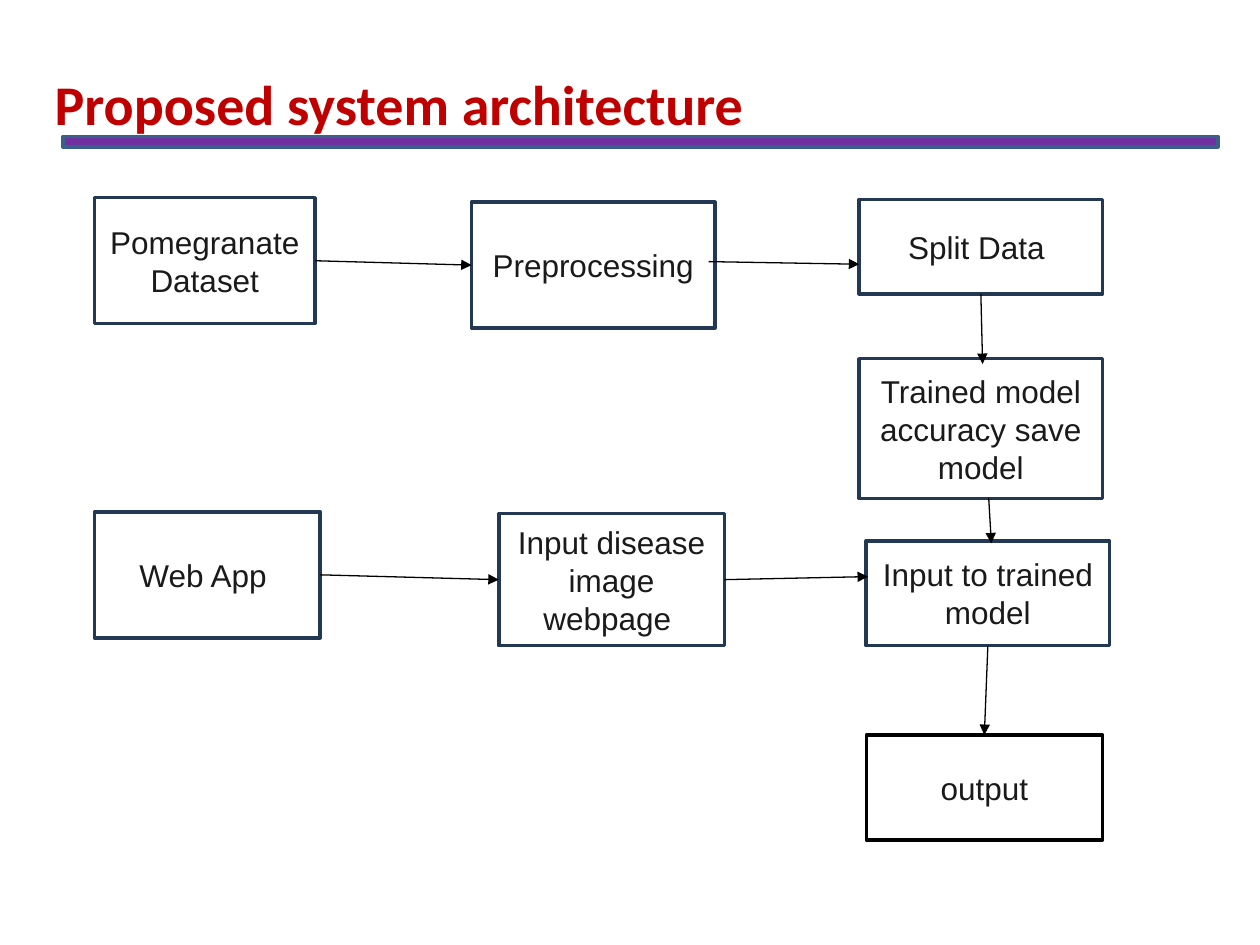
"""Build the proposed system architecture slide as a flow of boxes and arrows."""
from dataclasses import dataclass
from typing import Optional

from lxml.etree import SubElement
from pptx import Presentation
from pptx.dml.color import RGBColor
from pptx.enum.shapes import MSO_CONNECTOR as Connector, MSO_SHAPE as Shape
from pptx.enum.text import MSO_ANCHOR as Anchor, MSO_AUTO_SIZE as AutoSize, PP_ALIGN as Align
from pptx.oxml.ns import qn
from pptx.util import Pt

COLORS = {
    "title": "C00000",
    "bar": "7030A0",
    "bar_edge": "3A5F8B",
    "box": "FFFFFF",
    "edge": "233953",
    "text": "1A1A1A",
    "black": "000000",
}
TOP, LEFT, BOTTOM, RIGHT = range(4)


@dataclass(frozen=True)
class Step:
    name: str
    lines: tuple[str, ...]
    left: float
    top: float
    width: float
    height: float
    edge: str = "edge"


@dataclass(frozen=True)
class End:
    x: float = 0
    y: float = 0
    step: Optional[str] = None
    side: int = TOP


STEPS = (
    Step("dataset", ("Pomegranate", "Dataset"), 54, 113, 126, 72),
    Step("preprocessing", ("Preprocessing",), 269.5, 115.5, 139, 72),
    Step("split", ("Split Data ",), 491, 114, 139, 54),
    Step("web app", ("Web App ",), 54, 292.5, 129, 72),
    Step("disease image", ("Input disease image webpage ",), 285, 293.5, 129, 75.5),
    Step("training", ("Trained model accuracy save model",), 491, 205, 139, 80),
    Step("model input", ("Input to trained model",), 495, 309, 139, 60),
    Step("output", ("output",), 495, 420, 135, 60, "black"),
)

ARROWS = (
    (End(step="dataset", side=RIGHT), End(step="preprocessing", side=LEFT)),
    (End(405, 149.5), End(491, 151)),
    (End(step="web app", side=RIGHT), End(step="disease image", side=LEFT)),
    (End(step="disease image", side=RIGHT), End(496, 329.5)),
    (End(step="split", side=BOTTOM), End(561.5, 208)),
    (End(565, 284.5), End(566.5, 310.5)),
    (End(step="model input", side=BOTTOM), End(step="output", side=TOP)),
)


def color(name: str) -> RGBColor:
    """Return a palette colour."""
    return RGBColor.from_string(COLORS[name])


def add_span(para, text: str, font: str, size: float, tint: str, bold: bool = False) -> None:
    """Append one formatted run to a paragraph."""
    span = para.add_run()
    span.text = text
    span.font.name = font
    span.font.size = Pt(size)
    span.font.bold = bold
    span.font.color.rgb = color(tint)


def add_title(page, text: str) -> None:
    """Place and fill the title placeholder."""
    title = page.shapes.title
    title.left, title.top, title.width, title.height = Pt(24), Pt(36), Pt(462), Pt(46)
    frame = title.text_frame
    frame.auto_size = AutoSize.NONE
    frame.vertical_anchor = Anchor.TOP
    para = frame.paragraphs[0]
    para.alignment = Align.LEFT
    add_span(para, text, "Calibri", 32, "title", True)


def add_rectangle(page, left: float, top: float, width: float, height: float,
                  fill: str, edge: str):
    """Add a flat outlined rectangle."""
    box = page.shapes.add_shape(Shape.RECTANGLE, Pt(left), Pt(top), Pt(width), Pt(height))
    box.shadow.inherit = False
    box.fill.solid()
    box.fill.fore_color.rgb = color(fill)
    box.line.color.rgb = color(edge)
    box.line.width = Pt(2)
    return box


def add_step(page, step: Step):
    """Add a box with its centred label."""
    box = add_rectangle(page, step.left, step.top, step.width, step.height, "box", step.edge)
    frame = box.text_frame
    frame.word_wrap = True
    frame.vertical_anchor = Anchor.MIDDLE
    for index, line in enumerate(step.lines):
        para = frame.add_paragraph() if index else frame.paragraphs[0]
        para.alignment = Align.CENTER
        add_span(para, line, "Arial", 18, "text")
    return box


def add_arrow(page, boxes: dict, start: End, finish: End) -> None:
    """Add an arrow, joined to a box wherever its end names one."""
    arrow = page.shapes.add_connector(
        Connector.STRAIGHT, Pt(start.x), Pt(start.y), Pt(finish.x), Pt(finish.y))
    if start.step:
        arrow.begin_connect(boxes[start.step], start.side)
    if finish.step:
        arrow.end_connect(boxes[finish.step], finish.side)
    arrow.line.color.rgb = color("black")
    arrow.line.width = Pt(0.75)
    properties = arrow.line._get_or_add_ln()
    SubElement(properties, qn("a:tailEnd"), type="triangle")
    SubElement(arrow._element.spPr, qn("a:effectLst"))


def main() -> None:
    """Draw the slide and save the deck."""
    deck = Presentation()
    deck.slide_width, deck.slide_height = Pt(720), Pt(540)
    page = deck.slides.add_slide(deck.slide_layouts[5])
    add_title(page, "Proposed system architecture")
    add_rectangle(page, 36, 78, 660, 6, "bar", "bar_edge")
    boxes = {step.name: add_step(page, step) for step in STEPS}
    for start, finish in ARROWS:
        add_arrow(page, boxes, start, finish)
    deck.save("out.pptx")


if __name__ == "__main__":
    main()
